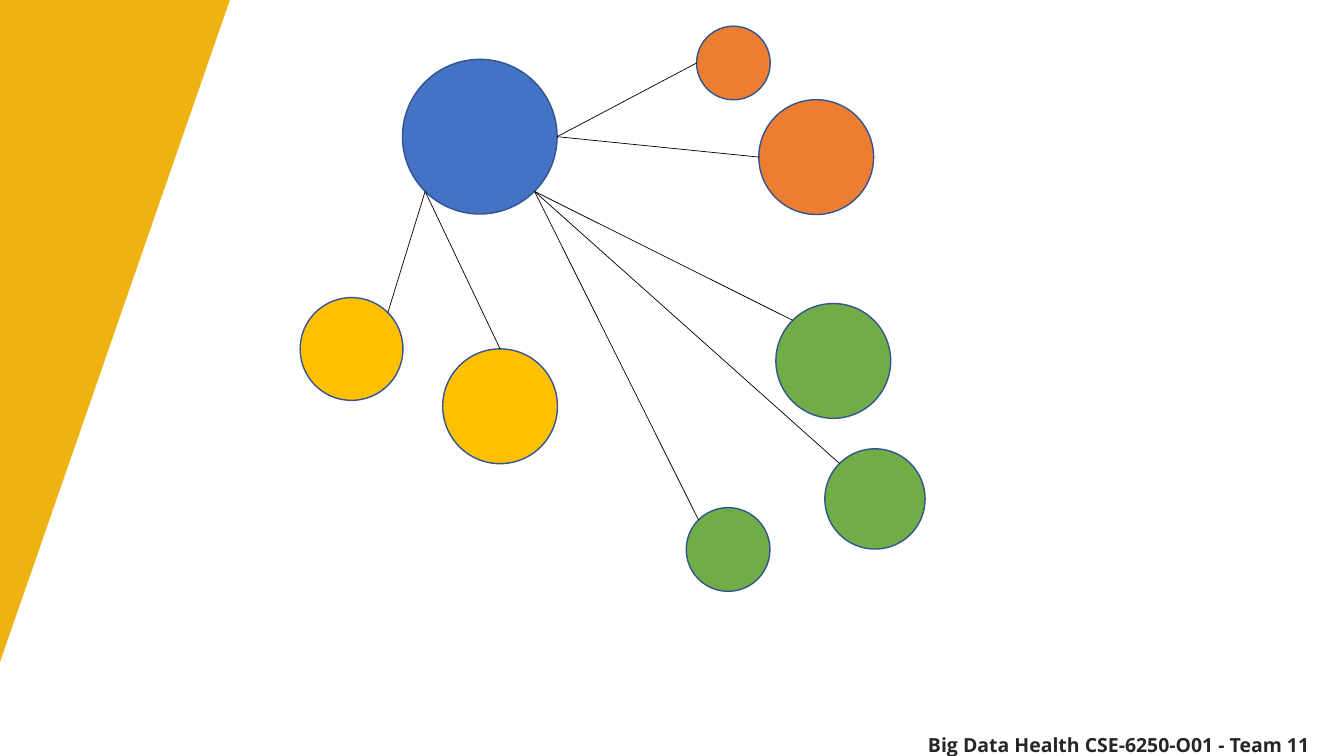
from math import cos, radians, sin

from lxml import etree
from pptx import Presentation
from pptx.dml.color import RGBColor
from pptx.enum.shapes import MSO_CONNECTOR as Connector, MSO_SHAPE as Shape
from pptx.enum.text import MSO_ANCHOR as Anchor, PP_ALIGN as Align
from pptx.oxml.ns import qn
from pptx.util import Pt

SLIDE_WIDTH, SLIDE_HEIGHT = 960, 540
FOOTER = "Big Data Health CSE-6250-O01 - Team 11"
GOLD, BLUE, YELLOW, ORANGE, GREEN = "EEB211", "4472C4", "FFC000", "ED7D31", "70AD47"
OUTLINE, LINK, INK = "325491", "000000", "262626"

# Circles: left, top, diameter, fill
CIRCLES = {
    "hub": (287.5, 42.4, 110.5, BLUE),
    "yellow right": (316.2, 249.2, 82, YELLOW),
    "orange large": (542, 71.2, 82, ORANGE),
    "green large": (554.2, 216.8, 82, GREEN),
    "orange small": (497.6, 18.7, 52.6, ORANGE),
    "green small": (490.2, 362.6, 59.8, GREEN),
    "green medium": (589.2, 320.6, 71.6, GREEN),
    "yellow left": (214.4, 212.6, 73.4, YELLOW),
}

# Links: angle on the hub, target circle, angle on the target (clockwise from right)
LINKS = [
    (135, "yellow left", 315),
    (135, "yellow right", 270),
    (45, "green small", 225),
    (45, "green medium", 225),
    (45, "green large", 225),
    (0, "orange large", 180),
    (0, "orange small", 180),
]


def color(value):
    """Turn a hex string into a colour."""
    return RGBColor.from_string(value)


def add_figure(page, kind, left, top, width, height, fill, line=None):
    """Add a filled preset shape, outlined if a line colour is given."""
    figure = page.shapes.add_shape(kind, Pt(left), Pt(top), Pt(width), Pt(height))
    figure.shadow.inherit = False
    figure.fill.solid()
    figure.fill.fore_color.rgb = color(fill)
    if line:
        figure.line.color.rgb = color(line)
        figure.line.width = Pt(1)
    else:
        figure.line.fill.background()
    return figure


def rim_point(name, angle):
    """Return the point on a circle's rim at an angle in degrees."""
    left, top, diameter, _ = CIRCLES[name]
    radius = diameter / 2
    turn = radians(angle)
    return Pt(left + radius + radius * cos(turn)), Pt(top + radius + radius * sin(turn))


def add_link(page, start, end):
    """Draw a thin straight line between two points."""
    link = page.shapes.add_connector(Connector.STRAIGHT, *start, *end)
    link.line.color.rgb = color(LINK)
    link.line.width = Pt(0.5)
    etree.SubElement(link._element.spPr, qn("a:effectLst"))


def add_text(page, text, left, top, width, height, size, font, ink, bold=False):
    """Add a centred line of text resting on the bottom of its box."""
    box = page.shapes.add_textbox(Pt(left), Pt(top), Pt(width), Pt(height))
    frame = box.text_frame
    frame.word_wrap = True
    frame.vertical_anchor = Anchor.BOTTOM
    frame.margin_bottom = 0
    para = frame.paragraphs[0]
    para.alignment = Align.CENTER
    span = para.add_run()
    span.text = text
    span.font.size = Pt(size)
    span.font.name = font
    span.font.bold = bold
    span.font.color.rgb = color(ink)


deck = Presentation()
deck.slide_width, deck.slide_height = Pt(SLIDE_WIDTH), Pt(SLIDE_HEIGHT)
page = deck.slides.add_slide(deck.slide_layouts[6])

add_text(page, FOOTER, 638.6, 491.8, 321.4, 48.2,
         size=13.9, font="Open Sans", ink=INK, bold=True)

# The corner triangle is turned a quarter, so its width runs down the slide
length, depth = 473, 164.2
offset = (length - depth) / 2
corner = add_figure(page, Shape.RIGHT_TRIANGLE, -offset, offset, length, depth, GOLD)
corner.rotation = 90

for left, top, diameter, fill in CIRCLES.values():
    add_figure(page, Shape.OVAL, left, top, diameter, diameter, fill, OUTLINE)
for hub_angle, target, target_angle in LINKS:
    add_link(page, rim_point("hub", hub_angle), rim_point(target, target_angle))

deck.save("out.pptx")
